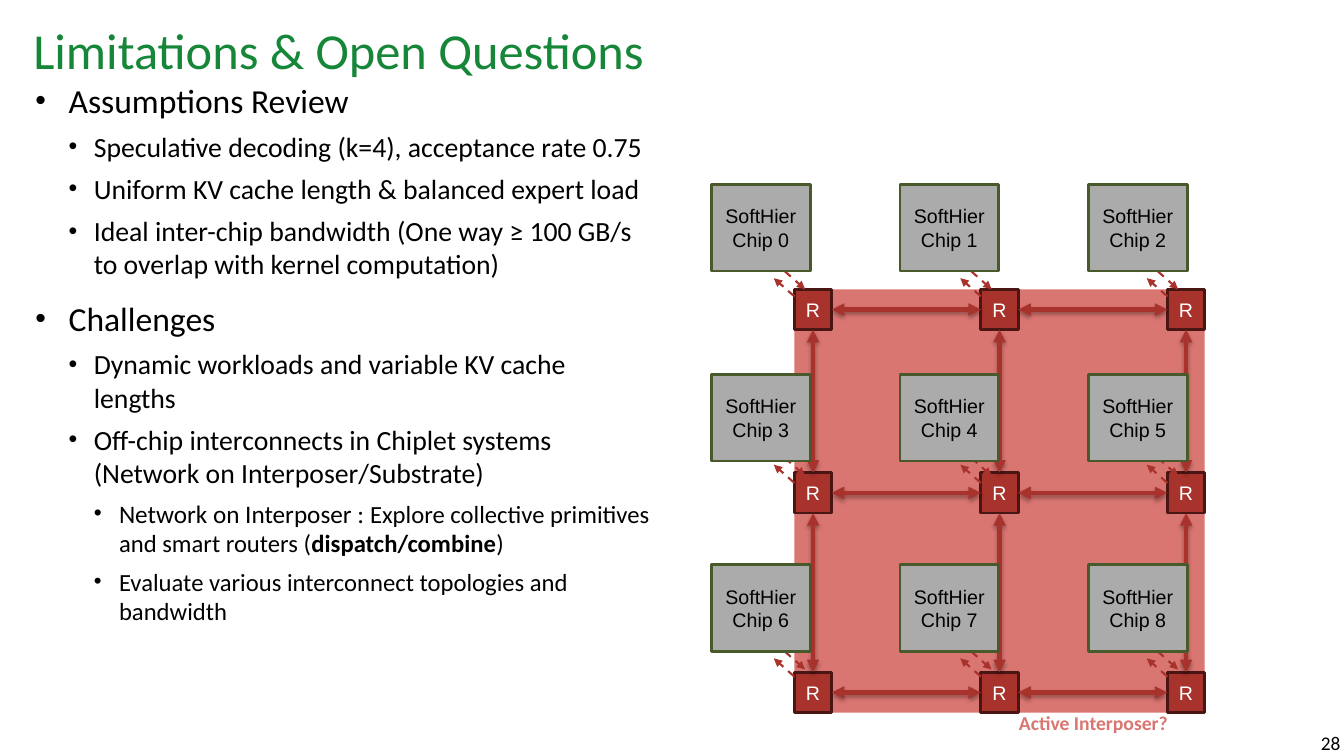
from itertools import product

from lxml.etree import SubElement
from pptx import Presentation
from pptx.dml.color import RGBColor
from pptx.enum.dml import MSO_LINE
from pptx.enum.shapes import MSO_CONNECTOR, MSO_SHAPE
from pptx.enum.text import MSO_ANCHOR, PP_ALIGN
from pptx.oxml.ns import qn
from pptx.util import Cm, Pt

COLORS = {
    "title": "168638", "text": "000000", "white": "FFFFFF",
    "interposer": "DA7671", "router": "A8322C", "router_edge": "4A1613",
    "chip": "ABABAB", "chip_edge": "48592C",
}
TOP, LEFT, BOTTOM, RIGHT = range(4)

# Each bullet is a level and its runs: (text, size, bold)
BULLETS = [
    (0, [("Assumptions Review", 24, False)]),
    (1, [("Speculative decoding (k=4), acceptance rate 0.75", 19.8, False)]),
    (1, [("Uniform KV cache length & balanced expert load", 19.8, False)]),
    (1, [("Ideal inter-chip bandwidth (One way ≥ 100 GB/s to overlap with kernel computation)",
          19.8, False)]),
    (0, [("Challenges", 24, False)]),
    (1, [("Dynamic workloads and variable KV cache lengths", 19.8, False)]),
    (1, [("Off-chip interconnects in Chiplet systems (Network on Interposer/Substrate)",
          19.8, False)]),
    (2, [("Network on Interposer : ", 18, False),
         ("Explore collective primitives and smart routers (", 17.6, False),
         ("dispatch/combine", 17.6, True), (")", 17.6, False)]),
    (2, [("Evaluate various interconnect topologies and bandwidth", 17.6, False)]),
]


def rgb(name):
    return RGBColor.from_string(COLORS[name])


def add_run(paragraph, text, *, size, color="text", font="Calibri", bold=False):
    run = paragraph.add_run()
    run.text = text
    run.font.name = font
    run.font.size = Pt(size)
    run.font.bold = bold
    run.font.color.rgb = rgb(color)


def write(frame, text, *, align=PP_ALIGN.LEFT, anchor=MSO_ANCHOR.TOP,
          insets=(0, 0), spacing=None, **font):
    """Fill a text frame, one paragraph for each line; insets are horizontal, vertical."""
    frame.word_wrap = True
    frame.vertical_anchor = anchor
    frame.margin_left = frame.margin_right = Cm(insets[0])
    frame.margin_top = frame.margin_bottom = Cm(insets[1])
    for index, line in enumerate(text.split("\n")):
        paragraph = frame.add_paragraph() if index else frame.paragraphs[0]
        paragraph.alignment = align
        paragraph.line_spacing = spacing
        add_run(paragraph, line, **font)


class SlideBuilder:
    def __init__(self, slide):
        self.slide = slide

    def text_box(self, x, y, width, height, text, **style):
        shape = self.slide.shapes.add_textbox(Cm(x), Cm(y), Cm(width), Cm(height))
        write(shape.text_frame, text, **style)

    def bullet_list(self, x, y, width, height, bullets):
        shape = self.slide.shapes.add_textbox(Cm(x), Cm(y), Cm(width), Cm(height))
        frame = shape.text_frame
        frame.word_wrap = True
        frame.margin_left = frame.margin_right = 0
        for index, (level, runs) in enumerate(bullets):
            paragraph = frame.add_paragraph() if index else frame.paragraphs[0]
            paragraph.level = level
            if index:
                paragraph.space_before = Pt(6.3 if level else 12.7)
            properties = paragraph._p.get_or_add_pPr()
            properties.set("marL", str(Cm(0.84 + 0.635 * level)))
            properties.set("indent", str(-Cm(0.635 if level else 0.84)))
            SubElement(properties, qn("a:buSzPct"), val="90000")
            SubElement(properties, qn("a:buFont"), typeface="Arial")
            SubElement(properties, qn("a:buChar"), char="•")
            for text, size, bold in runs:
                add_run(paragraph, text, size=size, bold=bold)

    def rectangle(self, x, y, width, height, fill, edge=None, text=None, color="text"):
        shape = self.slide.shapes.add_shape(
            MSO_SHAPE.RECTANGLE, Cm(x), Cm(y), Cm(width), Cm(height))
        shape.shadow.inherit = False
        shape.fill.solid()
        shape.fill.fore_color.rgb = rgb(fill)
        if edge:
            shape.line.color.rgb = rgb(edge)
            shape.line.width = Pt(2)
        else:
            shape.line.fill.background()
        if text:
            write(shape.text_frame, text, align=PP_ALIGN.CENTER,
                  anchor=MSO_ANCHOR.MIDDLE, size=14, font="Arial", color=color)
        return shape

    def arrow(self, start=(0, 0), end=(0, 0), *, width, ends=("tail",), dashed=False,
              shadow=False):
        connector = self.slide.shapes.add_connector(
            MSO_CONNECTOR.STRAIGHT, *(Cm(value) for value in (*start, *end)))
        connector.line.color.rgb = rgb("router")
        connector.line.width = Pt(width)
        if dashed:
            connector.line.dash_style = MSO_LINE.DASH
        properties = connector._element.spPr
        line = properties.find(qn("a:ln"))
        for name in ends:
            SubElement(line, qn(f"a:{name}End"), type="triangle")
        effects = SubElement(properties, qn("a:effectLst"))
        if shadow:
            outer = SubElement(effects, qn("a:outerShdw"), blurRad=str(Pt(3.1)),
                               dist=str(Pt(1.8)), dir="5400000", rotWithShape="0")
            black = SubElement(outer, qn("a:srgbClr"), val=COLORS["text"])
            SubElement(black, qn("a:alpha"), val="35000")
        return connector

    def link(self, first, first_side, second, second_side):
        """Join two routers with a two-way arrow."""
        connector = self.arrow(width=3, ends=("head", "tail"), shadow=True)
        connector.begin_connect(first, first_side)
        connector.end_connect(second, second_side)


def draw_network(builder):
    router_x = [20.02 + 4.7 * column for column in range(3)]
    router_y = [7.29, 11.91, 16.94]
    port_y = [6.83, 11.53, 16.41]
    grid = list(product(range(3), repeat=2))

    routers = {
        (row, column): builder.rectangle(router_x[column], router_y[row], 0.94, 1.02,
                                         "router", "router_edge", "R", "white")
        for row, column in grid
    }
    for row, column in grid:
        x, y = router_x[column], port_y[row]
        builder.arrow((x - 0.25, y), (x + 0.27, y + 0.46), width=1.5, dashed=True)
        builder.arrow((x, y + 0.64), (x - 0.52, y + 0.18), width=1.5, dashed=True)
    for row, column in grid:
        router = routers[row, column]
        if column < 2:
            builder.link(router, RIGHT, routers[row, column + 1], LEFT)
        if row < 2:
            builder.link(router, BOTTOM, routers[row + 1, column], TOP)
    for number, (row, column) in enumerate(grid):
        builder.rectangle(17.93 + 4.75 * column, 4.65 + 4.79 * row, 2.49, 2.18,
                          "chip", "chip_edge", f"SoftHier\nChip {number}")


def main():
    presentation = Presentation()
    presentation.slide_width, presentation.slide_height = Cm(33.87), Cm(19.05)
    builder = SlideBuilder(presentation.slides.add_slide(presentation.slide_layouts[6]))

    builder.rectangle(20.02, 7.29, 10.34, 10.67, "interposer")
    builder.text_box(0.84, 0.48, 32.33, 1.73, "Limitations & Open Questions", size=36,
                     color="title", anchor=MSO_ANCHOR.MIDDLE, spacing=0.9)
    builder.text_box(31.67, 18.29, 2.36, 0.86, "28", size=13.8, align=PP_ALIGN.RIGHT,
                     anchor=MSO_ANCHOR.BOTTOM, insets=(0.25, 0.13))
    builder.bullet_list(0.89, 1.9, 15.57, 13.82, BULLETS)
    draw_network(builder)
    builder.text_box(25.43, 17.78, 4.6, 0.86, "Active Interposer?", size=14,
                     color="interposer", bold=True, insets=(0.25, 0.13))
    presentation.save("out.pptx")


if __name__ == "__main__":
    main()
